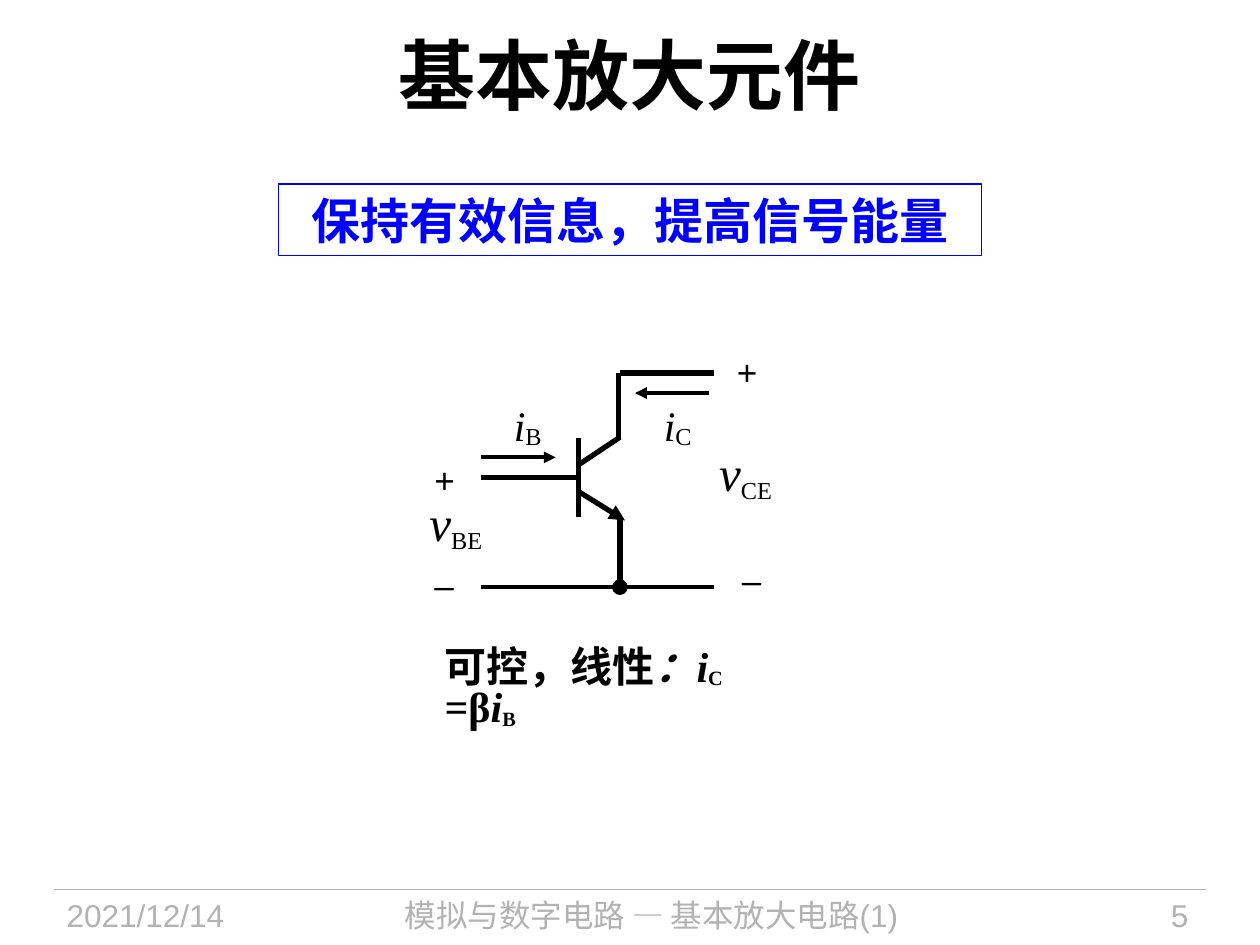
from dataclasses import dataclass
from typing import NamedTuple, Optional

from lxml import etree
from pptx import Presentation
from pptx import util as u
from pptx.dml.color import RGBColor
from pptx.enum import shapes, text
from pptx.oxml.ns import qn

# Grid of 100 columns by 75 rows, ten to the inch
COLS, ROWS = 100, 75
WIDTH, HEIGHT = u.Inches(10), u.Inches(7.5)
BLACK, BLUE, GREY, WHITE = "000000", "0000FF", "B2B2B2", "FFFFFF"
SANS, SERIF = "Arial", "Times New Roman"
LEFT, CENTER, RIGHT = text.PP_ALIGN.LEFT, text.PP_ALIGN.CENTER, text.PP_ALIGN.RIGHT


class Run(NamedTuple):
    text: str
    size: float
    font: str = SANS
    color: str = BLACK
    bold: bool = False
    italic: bool = False
    base: int = 0  # baseline shift in percent


class Box(NamedTuple):
    col: float
    row: float
    cols: float
    rows: float


@dataclass
class Wire:
    start: tuple[float, float]
    end: tuple[float, float]
    width: float = 3
    tail: Optional[str] = None
    color: str = BLACK


@dataclass
class Label:
    box: Box
    runs: list[Run]
    align: text.PP_ALIGN = LEFT
    wrap: bool = False


def x(col: float) -> int:
    return round(WIDTH * col / COLS)


def y(row: float) -> int:
    return round(HEIGHT * row / ROWS)


def rgb(color: str) -> RGBColor:
    return RGBColor.from_string(color)


def place(box: Box) -> tuple[int, int, int, int]:
    return x(box.col), y(box.row), x(box.cols), y(box.rows)


def draw_wire(parent, wire: Wire) -> None:
    cx = parent.add_connector(shapes.MSO_CONNECTOR.STRAIGHT, x(wire.start[0]), y(wire.start[1]),
                              x(wire.end[0]), y(wire.end[1]))
    cx.line.width = u.Pt(wire.width)
    cx.line.color.rgb = rgb(wire.color)
    if wire.tail:
        etree.SubElement(cx.line._get_or_add_ln(), qn("a:tailEnd"), type=wire.tail)
    etree.SubElement(cx._element.spPr, qn("a:effectLst"))


def write(sp, label: Label):
    tf = sp.text_frame
    tf.word_wrap = label.wrap
    tf.vertical_anchor = text.MSO_ANCHOR.TOP
    p = tf.paragraphs[0]
    p.alignment = label.align
    for run in label.runs:
        r = p.add_run()
        r.text = run.text
        f = r.font
        f.name, f.size, f.bold, f.italic = run.font, u.Pt(run.size), run.bold, run.italic
        f.color.rgb = rgb(run.color)
        if run.base:
            r._r.get_or_add_rPr().set("baseline", str(run.base * 1000))
    return p


def draw_label(parent, label: Label):
    sp = parent.add_textbox(*place(label.box))
    return sp, write(sp, label)


def symbol(col: float, row: float, name: str, sub: str, size: float, base: int) -> Label:
    box = Box(col, row, 4.4, 5) if size == 24 else Box(col, row, 6.6, 5.7)
    return Label(box, [Run(name, size, SERIF, italic=True), Run(sub, 24, SERIF, base=base)])


def sign(col: float, row: float, mark: str) -> Label:
    return Label(Box(col, row, 3.6, 4.3), [Run(mark, 20)])


def footer(col: float, cols: float, words: str, align: text.PP_ALIGN) -> Label:
    return Label(Box(col, 70.6, cols, 4.4), [Run(words, 18, color=GREY)], align, True)


FOOTERS = [
    footer(4.3, 18.8, "2021/12/14", LEFT),
    footer(24.9, 53.6, "模拟与数字电路 — 基本放大电路(1)", CENTER),
    footer(82, 13.3, "5", RIGHT),
]

WIRES = [
    Wire((45.9, 34.8), (45.9, 41)),                    # base plate
    Wire((45.9, 37.9), (38.2, 37.9)),                  # base lead
    Wire((45.9, 36.9), (49.2, 34.7)),                  # collector
    Wire((45.9, 39), (49.6, 41.3), tail="triangle"),   # emitter
    Wire((49.1, 34.9), (49.1, 29.6)),
    Wire((49.2, 41), (49.2, 46.6), tail="oval"),
    Wire((56.7, 46.6), (38.2, 46.6), 2.25),            # common rail
    Wire((56.7, 29.6), (49.2, 29.6)),
    Wire((38.2, 36.3), (44.1, 36.3), 2.25, "triangle"),  # base current
    Wire((56.3, 31.2), (50.4, 31.2), 2.25, "triangle"),  # collector current
]

LABELS = [
    symbol(39.8, 31.2, "i", "B", 24, -10),
    symbol(51.7, 31.2, "i", "C", 24, -10),
    symbol(33.1, 38.6, "v", "BE", 28, -20),
    symbol(56.1, 34.6, "v", "CE", 28, -20),
    sign(33.5, 35.9, "+"),
    sign(33.5, 44.2, "–"),
    sign(57.5, 27.3, "+"),
    sign(57.9, 43.8, "–"),
]

CAPTION = Label(Box(29.3, 51.1, 36.3, 4.2), [
    Run("可控，线性", 24, SERIF, bold=True),
    Run("：i", 24, SERIF, bold=True, italic=True),
    Run("C", 20, SERIF, bold=True, base=-10),
    Run(" ", 24, SERIF, italic=True),
    Run("=β", 24, SERIF, bold=True),
    Run("i", 24, SERIF, bold=True, italic=True),
    Run("B", 20, SERIF, bold=True, base=-10),
], wrap=True)

TITLE = Label(Box(5, 1.7, 90, 12.5), [Run("基本放大元件", 44, bold=True)], CENTER, True)
BANNER = Label(Box(22.1, 14.6, 55.8, 5.7),
               [Run("保持有效信息，提高信号能量", 28, color=BLUE, bold=True)], CENTER, True)


def main() -> None:
    prs = Presentation()
    prs.slide_width, prs.slide_height = WIDTH, HEIGHT
    s = prs.slides.add_slide(prs.slide_layouts[6])

    # Footer
    draw_wire(s.shapes, Wire((4.3, 70.6), (95.7, 70.6), 0.75, color=GREY))
    for label in FOOTERS:
        draw_label(s.shapes, label)

    # Transistor circuit
    circuit = s.shapes.add_group_shape().shapes
    for wire in WIRES:
        draw_wire(circuit, wire)
    for label in LABELS:
        draw_label(circuit, label)

    # Caption, indented, breaking before the equals sign
    sp, p = draw_label(s.shapes, CAPTION)
    sp.text_frame.margin_right = x(5)
    p.line_spacing = 0.8
    p._p.get_or_add_pPr().set("marL", str(x(5)))

    # Title and banner
    draw_label(s.shapes, TITLE)
    sp = s.shapes.add_shape(shapes.MSO_SHAPE.RECTANGLE, *place(BANNER.box))
    sp.shadow.inherit = False
    sp.fill.solid()
    sp.fill.fore_color.rgb = rgb(WHITE)
    sp.line.color.rgb = rgb(BLUE)
    sp.line.width = u.Pt(0.75)
    write(sp, BANNER)

    prs.save("out.pptx")


if __name__ == "__main__":
    main()
